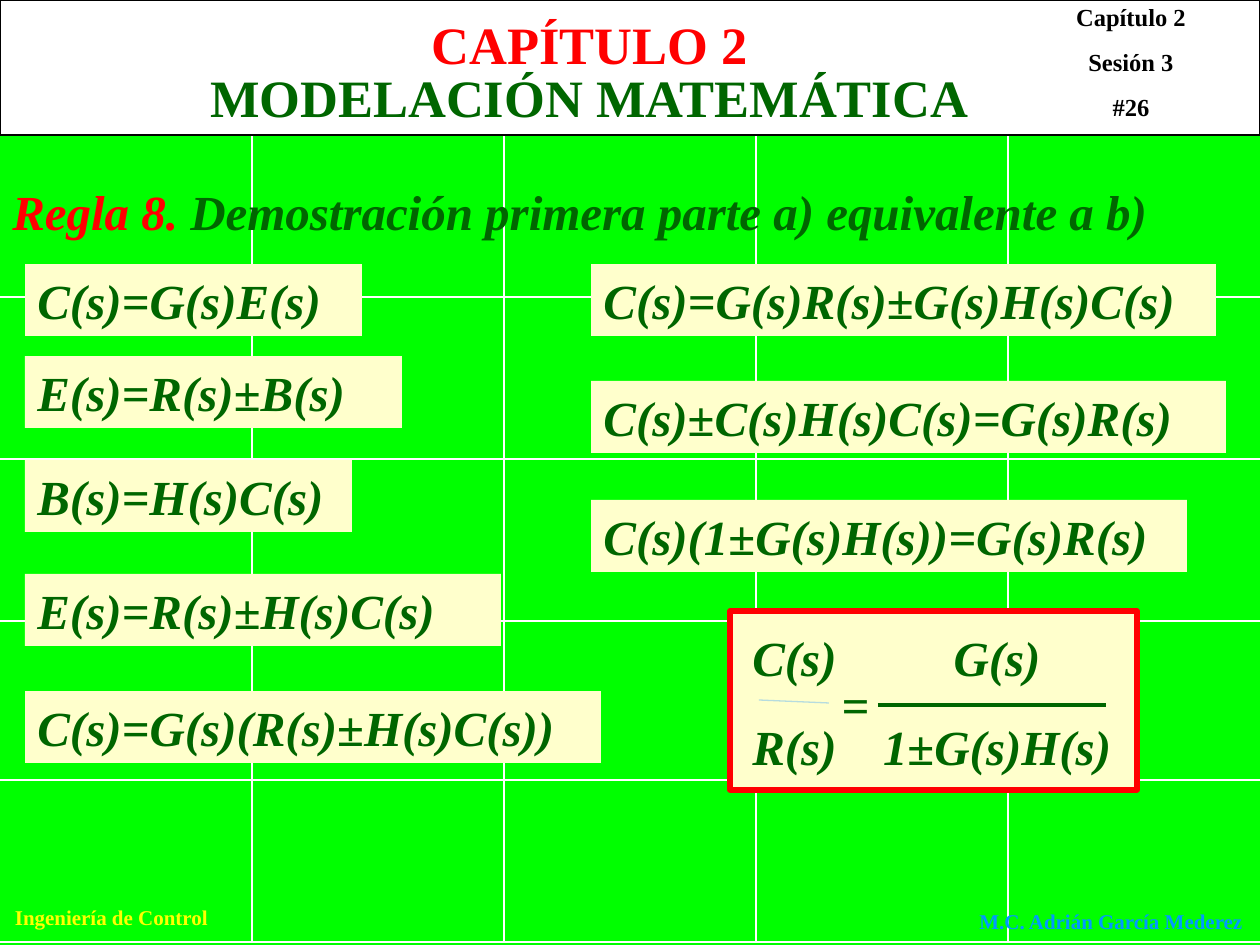
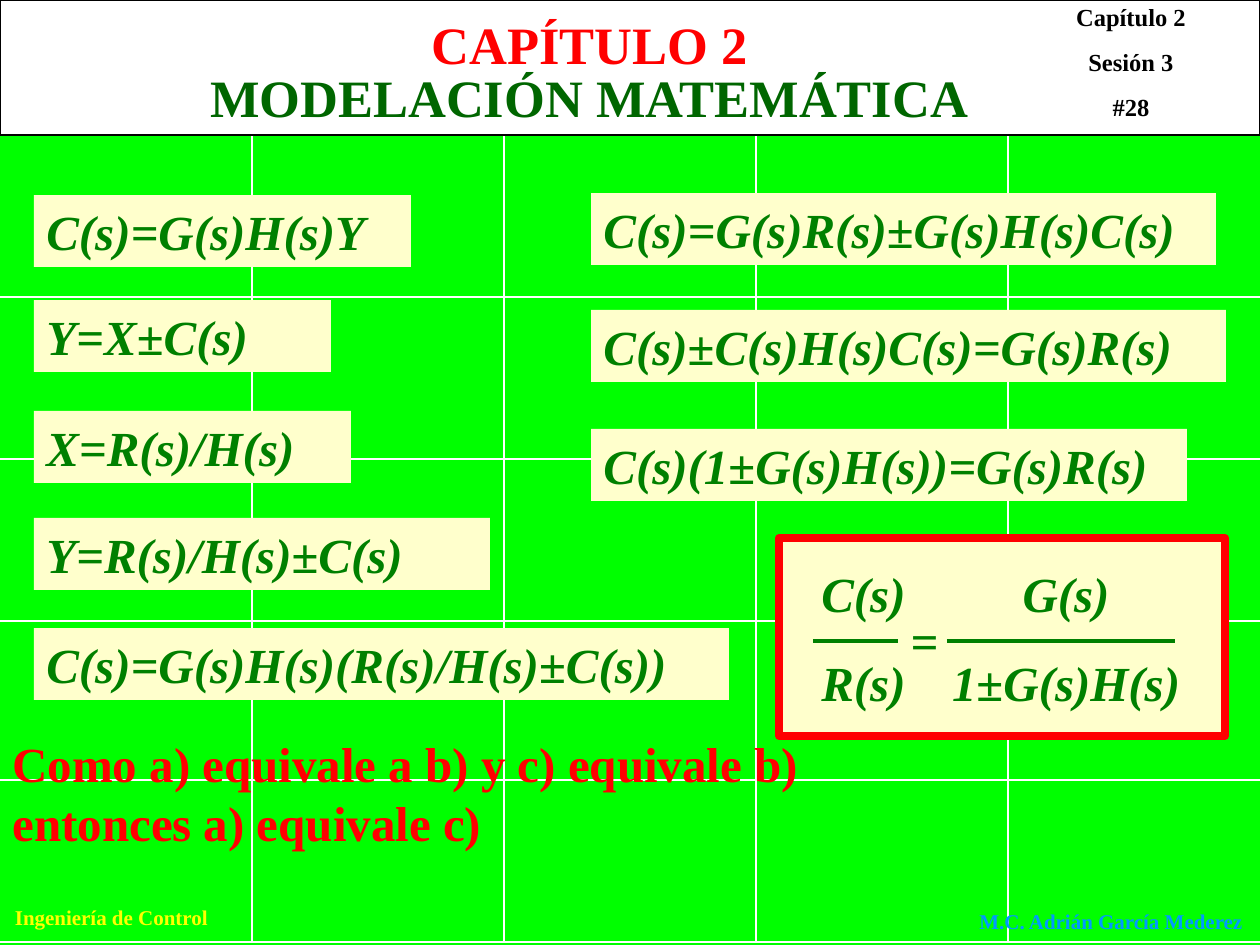
from pptx import Presentation
from pptx import util as u
from pptx.dml.color import RGBColor
from pptx.enum import shapes, text
from lxml import etree

SCALE = 914400 / 126  # EMU in one px
DRAWING = "{http://schemas.openxmlformats.org/drawingml/2006/main}"
FACE = "Times New Roman"
RED, GREEN, CREAM, WHITE, BLACK = "FF0000", "006600", "FFFFCC", "FFFFFF", "000000"
LEFT, MID = text.PP_ALIGN.LEFT, text.PP_ALIGN.CENTER
hue = RGBColor.from_string


def put(slide, kind, box, lines=(), size=28, italic=False, align=LEFT, fill=None, edge=None):
    """Place a title, text box or rectangle; each line is a list of (words, colour)."""
    area = [round(n * SCALE) for n in box]
    if kind == "title":
        shape = slide.shapes.title
        for key, val in zip(("left", "top", "width", "height"), area):
            setattr(shape, key, val)
    elif kind == "text":
        shape = slide.shapes.add_textbox(*area)
    else:
        shape = slide.shapes.add_shape(shapes.MSO_SHAPE.RECTANGLE, *area)
        shape.shadow.inherit = False
        shape.fill.solid()
        shape.fill.fore_color.rgb = hue(fill)
        if edge:
            shape.line.color.rgb = hue(edge[0])
            shape.line.width = u.Pt(edge[1])
        else:
            shape.line.fill.background()

    frame = shape.text_frame
    look = {"word_wrap": True, "auto_size": text.MSO_AUTO_SIZE.NONE,
            "vertical_anchor": text.MSO_ANCHOR.TOP}
    for key, val in look.items():
        setattr(frame, key, val)
    font = {"name": FACE, "size": u.Pt(size), "bold": True, "italic": italic}
    for row, line in enumerate(lines):
        para = frame.add_paragraph() if row else frame.paragraphs[0]
        para.alignment = align
        para.space_before = u.Pt(size * 0.625)
        for words, tint in line:
            run = para.add_run()
            run.text = words
            run.font.color.rgb = hue(tint)
            for key, val in font.items():
                setattr(run.font, key, val)


def rule(slide, ends, tint, width):
    line = slide.shapes.add_connector(
        shapes.MSO_CONNECTOR.STRAIGHT, *[round(n * SCALE) for n in ends])
    line.line.color.rgb = hue(tint)
    line.line.width = u.Pt(width)
    etree.SubElement(line.element.spPr, DRAWING + "effectLst")


# Equation boxes: (words, top, width)
RIGHT = [("C(s)=G(s)R(s)±G(s)H(s)C(s)", 0, 625),
         ("C(s)±C(s)H(s)C(s)=G(s)R(s)", 117, 635),
         ("C(s)(1±G(s)H(s))=G(s)R(s)", 236, 596)]

PAGES = [
    {"number": "#26", "ink": GREEN, "left": 25, "top": 264,
     "steps": [("C(s)=G(s)E(s)", 264, 337), ("E(s)=R(s)±B(s)", 356, 377),
               ("B(s)=H(s)C(s)", 460, 327), ("E(s)=R(s)±H(s)C(s)", 574, 476),
               ("C(s)=G(s)(R(s)±H(s)C(s))", 691, 576)],
     "panel": (730, 611, 407, 179), "edge": 3, "result": (740, 621),
     "bar": ((759, 700, 829, 703), "B6DCDF", 0.75),
     "note": (0, 175, 1260, 72), "italic": True,
     "words": [("Regla 8.", RED),
               (" Demostración primera parte a) equivalente a b)", GREEN)]},
    {"number": "#28", "ink": "008000", "left": 34, "top": 193,
     "steps": [("C(s)=G(s)H(s)Y", 195, 377), ("Y=X±C(s)", 300, 297),
               ("X=R(s)/H(s)", 411, 317), ("Y=R(s)/H(s)±C(s)", 518, 456),
               ("C(s)=G(s)H(s)(R(s)/H(s)±C(s))", 628, 695)],
     "panel": (779, 538, 446, 198), "edge": 4.5, "result": (809, 557),
     "bar": ((813, 641, 898, 641), "008000", 2.25),
     "note": (0, 727, 848, 131), "italic": False,
     "words": [("Como a) equivale a b) y c) equivale b) entonces a) equivale c)", RED)]},
]

deck = Presentation()
deck.slide_width = round(1260 * SCALE)
deck.slide_height = round(945 * SCALE)
back = deck.slide_master.background.fill
back.solid()
back.fore_color.rgb = hue("00FF00")

for page in PAGES:
    slide = deck.slides.add_slide(deck.slide_layouts[5])
    ink = page["ink"]

    # Grid, header band and footers
    for x in range(252, 1260, 252):
        rule(slide, (x, 135, x, 942), WHITE, 1)
    for y in (297, 459, 621, 780, 942):
        rule(slide, (0, y, 1260, y), WHITE, 1)
    put(slide, "rect", (0, 0, 1260, 135), fill=WHITE, edge=(BLACK, 0.75))
    put(slide, "text", (0, 898, 223, 38), [[("Ingeniería de Control", "FFFF00")]], 12, align=MID)
    put(slide, "text", (967, 902, 293, 38), [[("M.C. Adrián García Mederez", "0099FF")]], 12)
    marks = [[(words, BLACK)] for words in ("Capítulo 2", "Sesión 3", page["number"])]
    put(slide, "text", (1027, -4, 208, 132), marks, 14, align=MID)

    # The title placeholder is moved above the band
    title = slide.shapes.title.element
    title.getparent().append(title)
    put(slide, "title", (113, 6, 953, 76), [[("CAPÍTULO 2", RED)]], 30, align=MID)
    put(slide, "text", (113, 59, 953, 76), [[("MODELACIÓN MATEMÁTICA", GREEN)]], 30, align=MID)

    put(slide, "text", page["note"], [page["words"]], italic=page["italic"])

    # Derivation in two columns
    steps = [(page["left"], *step) for step in page["steps"]]
    steps += [(591, words, page["top"] + drop, wide) for words, drop, wide in RIGHT]
    for x, words, y, wide in steps:
        put(slide, "rect", (x, y, wide, 72), [[(words, ink)]], italic=True, fill=CREAM)

    # Framed transfer function
    put(slide, "rect", page["panel"], fill=CREAM, edge=(RED, page["edge"]))
    x, y = page["result"]
    parts = [((x, y, 129, 161), ("C(s)", "R(s)"), LEFT),
             ((x + 89, y + 47, 59, 72), ("=",), LEFT),
             ((x + 128, y, 258, 161), ("G(s)", "1±G(s)H(s)"), MID)]
    for box, terms, align in parts:
        put(slide, "text", box, [[(term, ink)] for term in terms], italic=True, align=align)
    rule(slide, (x + 138, y + 84, x + 366, y + 84), ink, 2.25)
    rule(slide, *page["bar"])

deck.save("out.pptx")
